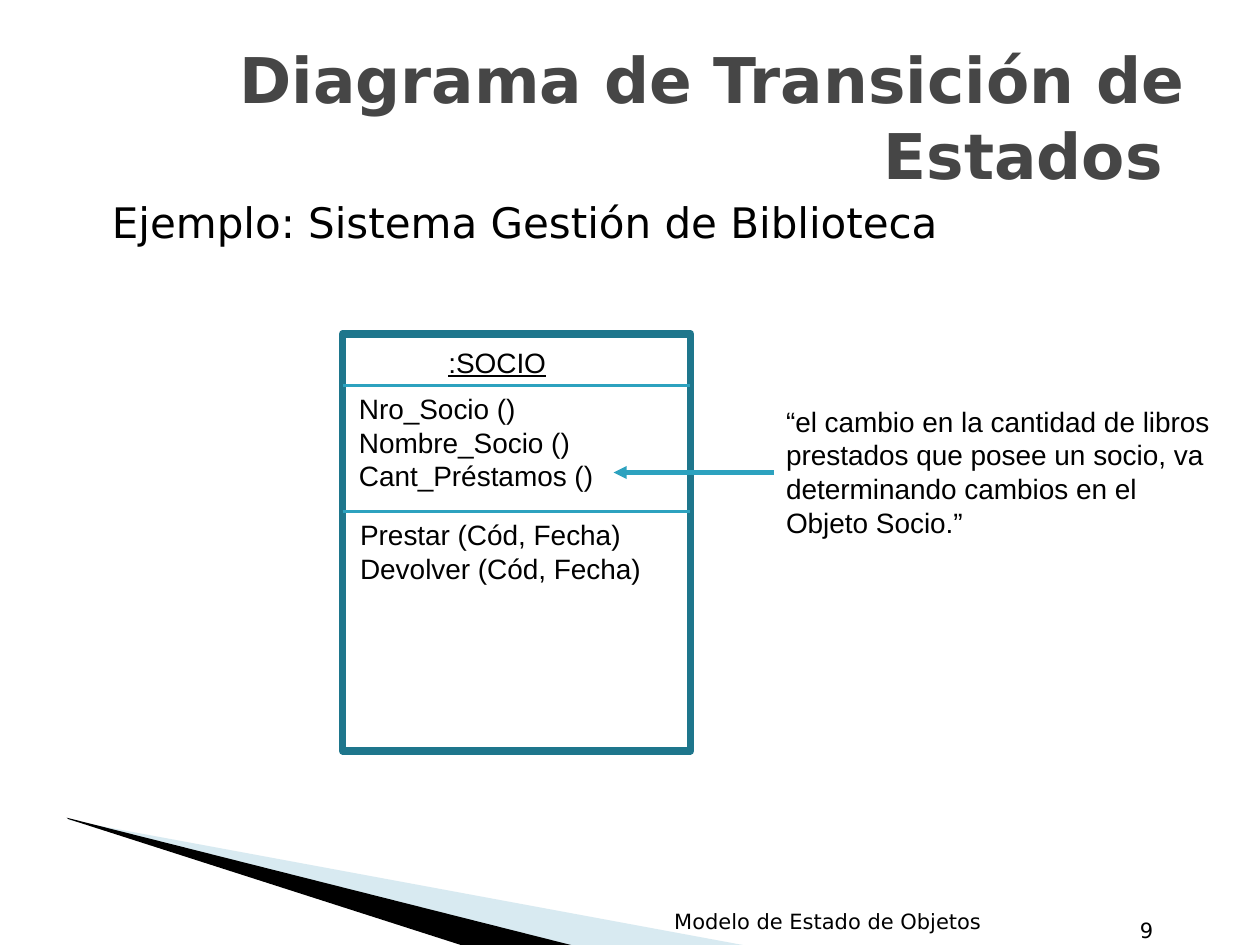
import pptx
import pptx.util
import pptx.dml.color
import pptx.enum.shapes
import pptx.enum.text
import pptx.oxml.ns
import lxml.etree

PX = 9144  # 100 px to the inch
COLORS = {"ink": "000000", "title": "464646", "frame": "1E768C",
          "line": "2DA2BF", "wedge": "9FCBDC"}
ALIGN = pptx.enum.text.PP_ALIGN
ANCHOR = pptx.enum.text.MSO_ANCHOR
SANS, ARIAL = "DejaVu Sans", "Arial"


def rgb(name):
    return pptx.dml.color.RGBColor.from_string(COLORS[name])


def add_tag(parent, tag, **attrs):
    return lxml.etree.SubElement(parent, pptx.oxml.ns.qn(tag), attrs)


def add_text(slide, box, lines, size, font=ARIAL, color="ink", bold=False,
             under=False, align=ALIGN.LEFT, anchor=ANCHOR.TOP):
    shape = slide.shapes.add_textbox(*(n * PX for n in box))
    frame = shape.text_frame
    frame.word_wrap = True
    frame.vertical_anchor = anchor
    for i, line in enumerate(lines):
        para = frame.paragraphs[0] if i == 0 else frame.add_paragraph()
        para.alignment = align
        run = para.add_run()
        run.text = line
        run.font.name = font
        run.font.size = pptx.util.Pt(size)
        run.font.bold = bold
        run.font.underline = under
        run.font.color.rgb = rgb(color)
    return shape


def add_line(slide, start, end, width):
    line = slide.shapes.add_connector(
        pptx.enum.shapes.MSO_CONNECTOR.STRAIGHT,
        *(n * PX for n in start + end))
    line.line.color.rgb = rgb("line")
    line.line.width = pptx.util.Pt(width)
    add_tag(line._element.spPr, "a:effectLst")
    return line


def add_wedge(slide, points, color, alpha=None):
    """Draw a filled outline; alpha is its opacity in percent."""
    form = slide.shapes.build_freeform(*points[0], scale=PX)
    form.add_line_segments(points[1:])
    shape = form.convert_to_shape()
    shape.shadow.inherit = False
    shape.line.fill.background()
    shape.fill.solid()
    shape.fill.fore_color.rgb = rgb(color)
    if alpha:
        fill = shape._element.spPr.find(pptx.oxml.ns.qn("a:solidFill"))
        add_tag(fill[0], "a:alpha", val=str(alpha * 1000))


def add_decor(slide, left, top):
    """Draw the two wedges that fan out from one corner."""
    wedges = [([(2, 2), (542, 102), (403, 102), (2, 1)], "wedge", 40),
              ([(0, 0), (404, 102), (319, 103), (1, 1)], "ink", None)]
    for points, color, alpha in wedges:
        add_wedge(slide, [(left + x, top + y) for x, y in points],
                  color, alpha)


def add_head(slide, left, top):
    add_text(slide, (left, top, 900, 125),
             ["Diagrama de Transición de Estados "], 36, SANS, "title",
             bold=True, align=ALIGN.RIGHT, anchor=ANCHOR.MIDDLE)
    body = add_text(slide, (left + 17, top + 117, 850, 63),
                    ["Ejemplo: Sistema Gestión de Biblioteca"], 24, SANS)
    para = body.text_frame.paragraphs[0]
    para.line_spacing = 1.1
    para._p.get_or_add_pPr().set("marL", str(12 * PX))


def add_class(slide, left, top, width, height):
    """Draw the class box with its name, attributes and methods."""
    rect = slide.shapes.add_shape(
        pptx.enum.shapes.MSO_SHAPE.RECTANGLE,
        *(n * PX for n in (left, top, width, height)))
    rect.shadow.inherit = False
    rect.fill.background()
    rect.line.color.rgb = rgb("frame")
    rect.line.width = pptx.util.Pt(4.33)
    for y in (top + 41, top + 141):
        add_line(slide, (left, y), (left + width, y), 1.5)
    add_text(slide, (left + 74, top + 4, 99, 37), [":SOCIO"], 16, under=True)
    add_text(slide, (left + 3, top + 41, 209, 91),
             ["Nro_Socio ()", "Nombre_Socio ()", "Cant_Préstamos ()"], 16)
    add_text(slide, (left + 4, top + 141, 246, 64),
             ["Prestar (Cód, Fecha)", "Devolver (Cód, Fecha)"], 16)


def add_note(slide, left, top, width, height, reach):
    """Place the remark, with an arrow of length reach to its left."""
    note = add_text(slide, (left, top, width, height),
                    ["“el cambio en la cantidad de libros",
                     "prestados que posee un socio, va",
                     "determinando cambios en el",
                     "Objeto Socio.”"], 16)
    mid = top + height // 2
    arrow = add_line(slide, (left, mid), (left - reach, mid), 2.5)
    arrow.begin_connect(note, 1)
    add_tag(arrow.line._get_or_add_ln(), "a:tailEnd", type="triangle")


def add_foot(slide, left, top):
    add_text(slide, (left, top, 362, 40), ["Modelo de Estado de Objetos"],
             12, SANS, align=ALIGN.CENTER, anchor=ANCHOR.BOTTOM)
    add_text(slide, (left + 192, top + 7, 257, 40), ["9"],
             12, SANS, align=ALIGN.RIGHT, anchor=ANCHOR.BOTTOM)


def main():
    deck = pptx.Presentation()
    deck.slide_width, deck.slide_height = 1000 * PX, 750 * PX
    slide = deck.slides.add_slide(deck.slide_layouts[6])
    add_decor(slide, 53, 649)
    add_head(slide, 50, 30)
    add_class(slide, 272, 265, 276, 331)
    add_note(slide, 614, 316, 364, 118, 127)
    add_foot(slide, 476, 706)
    deck.save("out.pptx")


if __name__ == "__main__":
    main()
